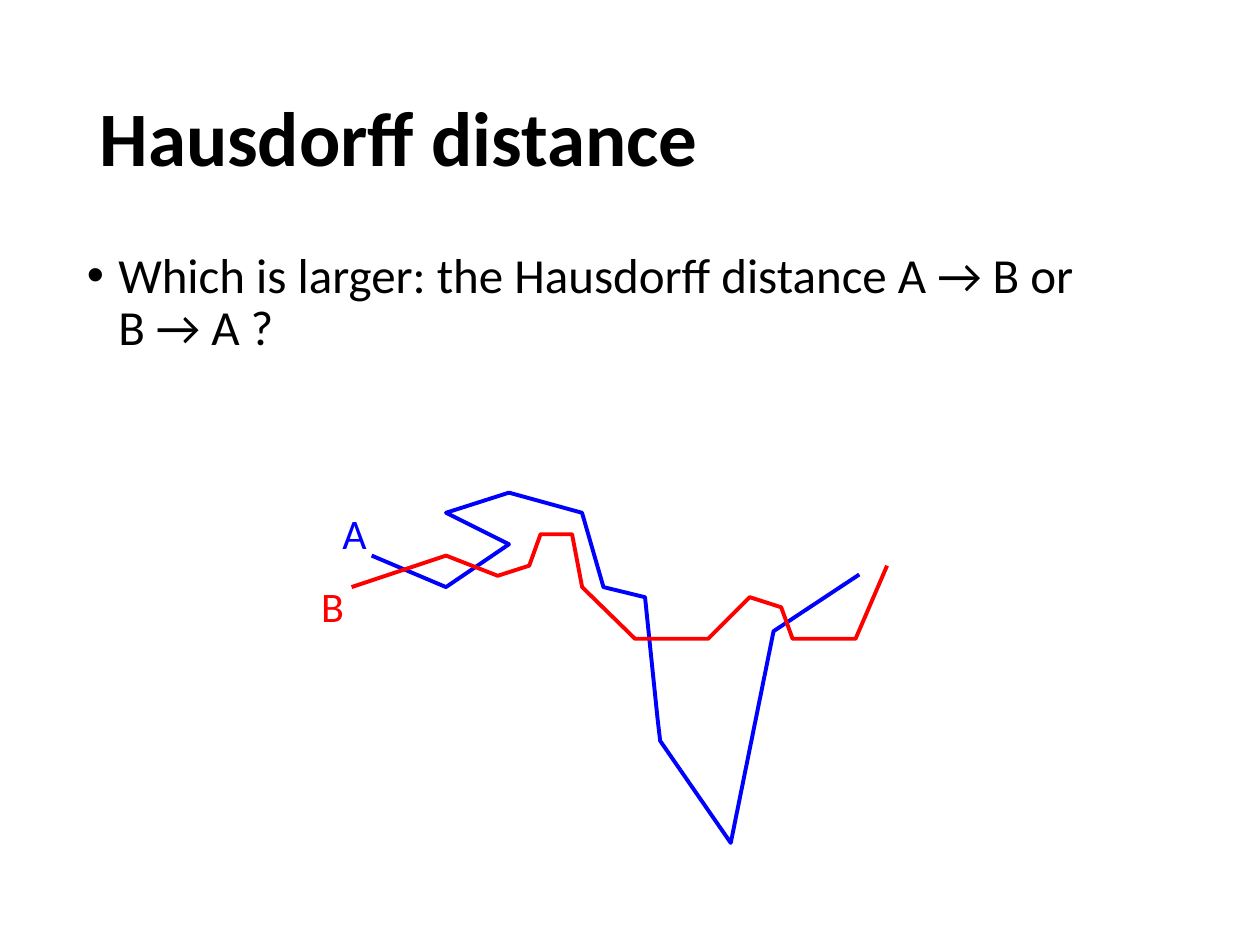
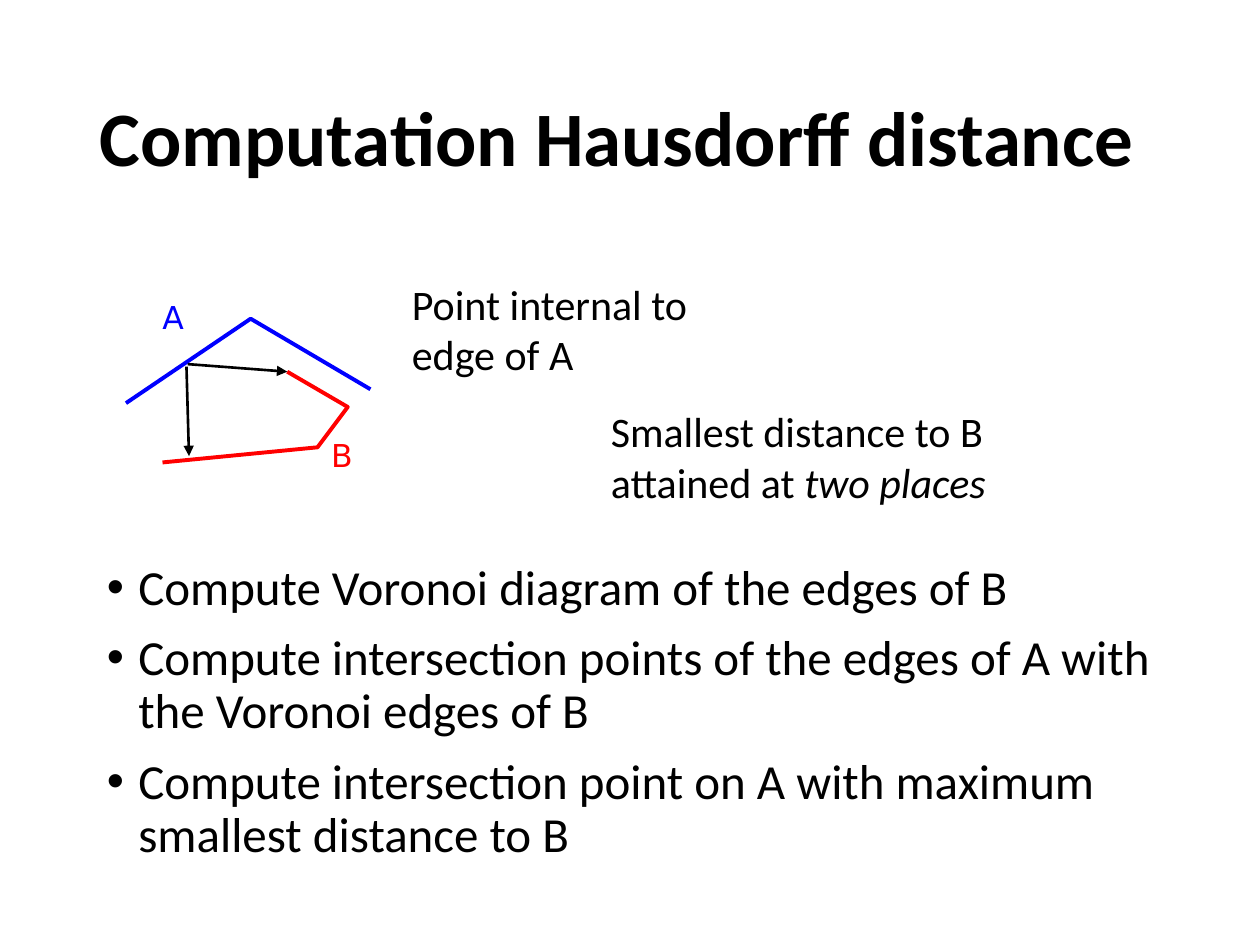
from lxml.etree import SubElement
from pptx import Presentation
from pptx.dml.color import RGBColor
from pptx.enum.shapes import MSO_CONNECTOR
from pptx.enum.text import MSO_ANCHOR, MSO_AUTO_SIZE, PP_ALIGN
from pptx.oxml.ns import qn
from pptx.util import Inches, Pt

BLACK, BLUE, RED = "000000", "0000FF", "FF0000"
TITLE_ONLY = 5


def color(value):
    return RGBColor.from_string(value)


class Lecture:
    """Holds the shared style and the slide being filled."""

    font = "Calibri"
    title_box = (0.69, 0.4, 8.62, 1.45)
    title_format = {"size": Pt(44), "bold": True}
    bullet_format = {"size": Pt(28)}
    note_format = {"size": Pt(24)}
    bullet_spacing = {"line_spacing": 0.9, "space_before": Pt(10)}
    curve_width, arrow_width = Pt(2.25), Pt(1.5)

    def __init__(self):
        self.deck = Presentation()
        self.deck.slide_width, self.deck.slide_height = Inches(10), Inches(7.5)

    def add_page(self, title):
        self.page = self.deck.slides.add_slide(self.deck.slide_layouts[TITLE_ONLY])
        box = self.page.shapes.title
        box.left, box.top, box.width, box.height = map(Inches, self.title_box)
        frame = box.text_frame
        frame.word_wrap = True
        frame.auto_size = MSO_AUTO_SIZE.NONE
        frame.vertical_anchor = MSO_ANCHOR.MIDDLE
        para = frame.paragraphs[0]
        para.alignment, para.line_spacing = PP_ALIGN.LEFT, 0.9
        self.add_span(para, title, self.title_format)

    def add_span(self, para, text, style, fill=BLACK):
        span = para.add_run()
        span.text = text
        for name, value in {"name": self.font, **style}.items():
            setattr(span.font, name, value)
        span.font.color.rgb = color(fill)

    def add_frame(self, place, wrap=True):
        frame = self.page.shapes.add_textbox(*map(Inches, place)).text_frame
        frame.word_wrap = wrap
        return frame

    def add_paragraphs(self, frame, count):
        return [frame.paragraphs[0]] + [frame.add_paragraph() for _ in range(count - 1)]

    def bullets(self, place, items):
        """Each item is a list of lines, parted by line breaks."""
        paras = self.add_paragraphs(self.add_frame(place), len(items))
        for para, lines in zip(paras, items):
            for name, value in self.bullet_spacing.items():
                setattr(para, name, value)
            props = para._p.get_or_add_pPr()
            props.set("marL", str(Inches(0.25)))
            props.set("indent", str(Inches(-0.25)))
            SubElement(props, qn("a:buFont")).set("typeface", "Arial")
            SubElement(props, qn("a:buChar")).set("char", "•")
            for number, line in enumerate(lines):
                if number:
                    para.add_line_break()
                self.add_span(para, line, self.bullet_format)

    def note(self, place, lines, fill=BLACK, wrap=False, **style):
        """Each line is a list of (text, extra format) spans."""
        paras = self.add_paragraphs(self.add_frame(place, wrap), len(lines))
        for para, spans in zip(paras, lines):
            for text, extra in spans:
                self.add_span(para, text, {**self.note_format, **style, **extra}, fill)

    def label(self, place, text, fill, **style):
        self.note(place, [[(text, {})]], fill, **style)

    def curve(self, points, stroke):
        corners = [(Inches(x), Inches(y)) for x, y in points]
        builder = self.page.shapes.build_freeform(*corners[0])
        builder.add_line_segments(corners[1:], close=False)
        shape = builder.convert_to_shape()
        shape.shadow.inherit = False
        shape.fill.background()
        shape.line.color.rgb, shape.line.width = color(stroke), self.curve_width

    def arrow(self, start, end):
        line = self.page.shapes.add_connector(
            MSO_CONNECTOR.STRAIGHT, *map(Inches, (*start, *end)))
        line.line.color.rgb, line.line.width = color(BLACK), self.arrow_width
        SubElement(line.line._get_or_add_ln(), qn("a:tailEnd")).set("type", "triangle")
        SubElement(line._element.spPr, qn("a:effectLst"))


lecture = Lecture()

# Slide 1: the question and two long curves
lecture.add_page("Hausdorff distance")
lecture.bullets((0.59, 1.94, 8.62, 1.12), [
    ["Which is larger: the Hausdorff distance A → B or ", "B → A ?"]])
lecture.curve([
    (2.95, 4.41), (3.54, 4.66), (4.04, 4.32), (3.54, 4.07), (4.04, 3.91),
    (4.62, 4.07), (4.79, 4.66), (5.12, 4.74), (5.22, 5.71), (5.24, 5.88),
    (5.8, 6.69), (6.14, 5.01), (6.82, 4.56)], BLUE)
lecture.curve([
    (2.79, 4.66), (3.54, 4.41), (3.95, 4.57), (4.2, 4.49), (4.29, 4.24),
    (4.54, 4.24), (4.62, 4.66), (5.04, 5.07), (5.62, 5.07), (5.95, 4.74),
    (6.2, 4.82), (6.29, 5.07), (6.79, 5.07), (7.04, 4.49)], RED)
lecture.label((2.62, 3.98, 0.4, 0.5), "A", BLUE)
lecture.label((2.45, 4.56, 0.38, 0.5), "B", RED)

# Slide 2: the steps
lecture.add_page("Computation Hausdorff distance")
lecture.bullets((0.75, 4.42, 8.5, 2.67), [
    ["Compute Voronoi diagram of the edges of B"],
    ["Compute intersection points of the edges of A with the Voronoi edges of B"],
    ["Compute intersection point on A with maximum smallest distance to B"]])

# Slide 2: a point of A with two nearest places on B
small = {"name": "DejaVu Sans", "size": Pt(18)}
lecture.curve([(1, 3.2), (1.99, 2.53), (2.94, 3.09)], BLUE)
lecture.label((1.19, 2.32, 0.43, 0.5), "A", BLUE, **small)
lecture.label((2.53, 3.41, 0.43, 0.5), "B", RED, **small)
lecture.curve([(1.29, 3.67), (2.52, 3.55), (2.76, 3.23), (2.28, 2.95)], RED)
lecture.arrow((1.48, 2.91), (1.5, 3.62))
lecture.arrow((1.49, 2.89), (2.28, 2.95))
lecture.note((3.17, 2.16, 2.41, 0.91), [
    [("Point internal to", {})], [("edge of A", {})]])
lecture.note((4.75, 3.17, 4, 0.91), [
    [("Smallest distance to B attained at ", {}), ("two places", {"italic": True})]],
    wrap=True)

lecture.deck.save("out.pptx")
